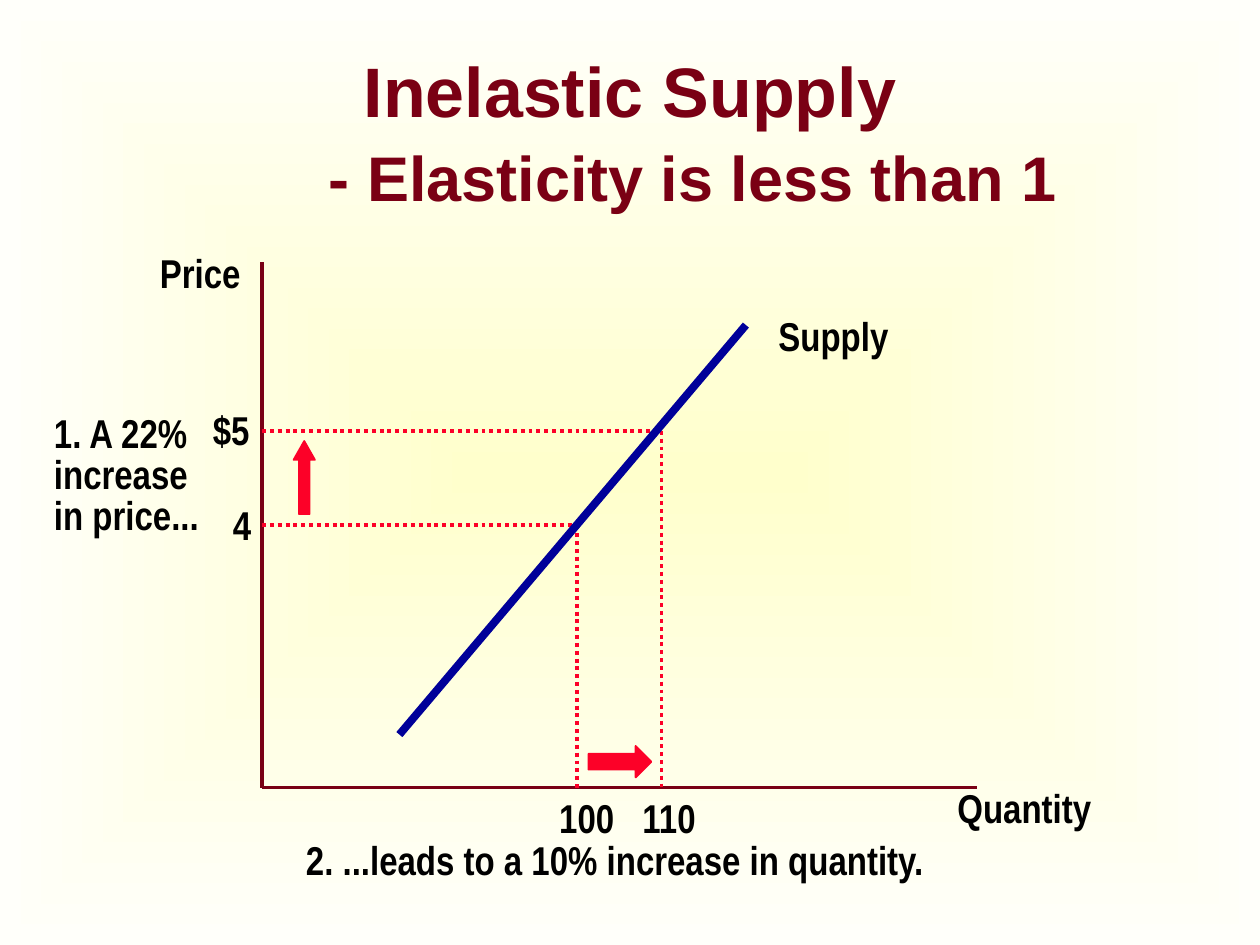
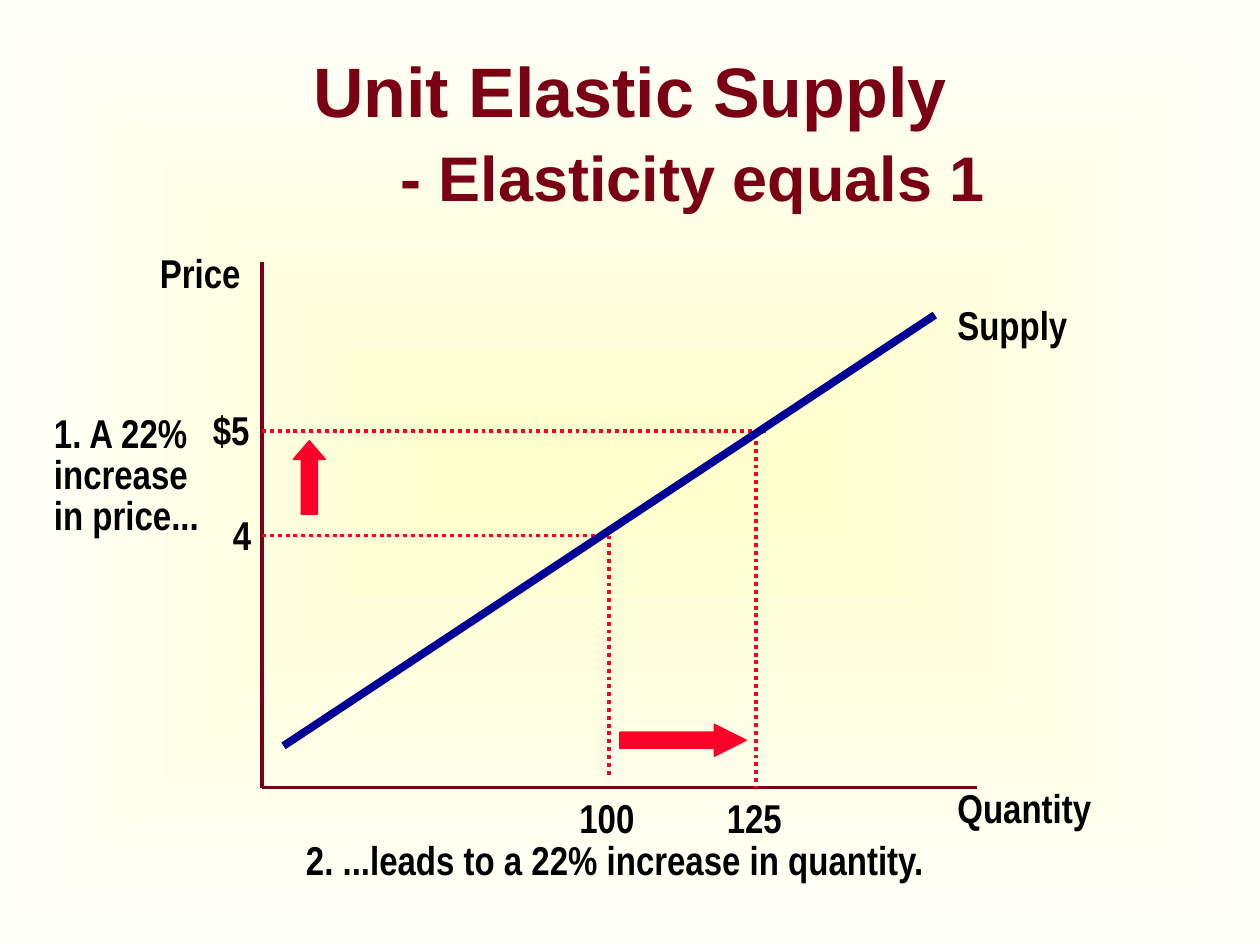
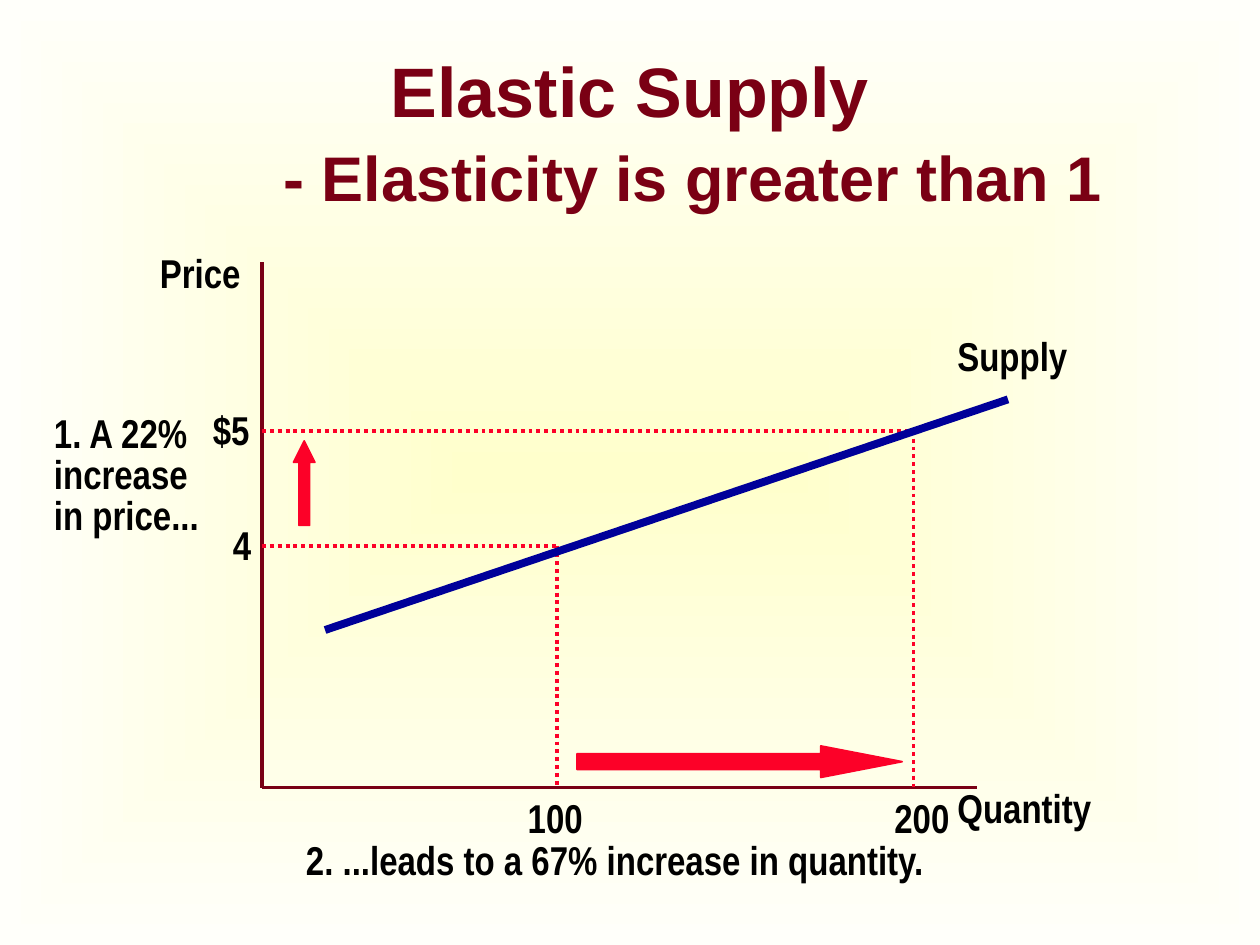
from dataclasses import dataclass

import pptx
import pptx.dml.color
import pptx.enum.dml
import pptx.enum.shapes
import pptx.enum.text
import pptx.oxml
import pptx.oxml.ns
import pptx.util
from pptx.util import Inches

COLORS = {
    "title": "7A0014",
    "axis": "790015",
    "guide": "FC0128",
    "supply": "000099",
    "label": "000000",
    "glow": "FFFFCC",
    "edge": "FFFFFA",
}
TITLE_FONT = "Arial"
LABEL_FONT = "Arial Narrow"
LABEL_HEIGHT = 0.49
AXIS_X, AXIS_Y = 2.08, 6.25
HIGH_PRICE_Y = 3.42

Point = tuple[float, float]


@dataclass
class Arrow:
    left: float
    top: float
    width: float
    height: float
    head: float


@dataclass
class Quantity:
    text: str
    label_left: float
    guide_x: float
    guide_top: float
    guide_bottom: float
    price_end: float


@dataclass
class SupplyCase:
    title: str
    subtitle: str
    growth: str
    low_price_y: float
    low: Quantity
    high: Quantity
    supply_start: Point
    supply_end: Point
    supply_label: Point
    price_arrow: Arrow
    quantity_arrow: Arrow


CASES = [
    SupplyCase(
        "Inelastic Supply", "- Elasticity is less than 1", "10%", 4.17,
        Quantity("100", 4.34, 4.58, 4.17, AXIS_Y, 4.58),
        Quantity("110", 5, 5.25, HIGH_PRICE_Y, AXIS_Y, 5.25),
        (3.17, 5.83), (5.92, 2.58), (6.08, 2.42),
        Arrow(2.33, 3.5, 0.17, 0.58, 0.88),
        Arrow(4.67, 5.92, 0.5, 0.25, 0.5),
    ),
    SupplyCase(
        "Unit Elastic Supply", "- Elasticity equals 1", "22%", 4.25,
        Quantity("100", 4.5, 4.83, 4.25, 6.17, 4.83),
        Quantity("125", 5.67, 6, 3.5, AXIS_Y, 6.08),
        (2.25, 5.92), (7.42, 2.5), (7.5, 2.33),
        Arrow(2.33, 3.5, 0.25, 0.58, 0.58),
        Arrow(4.92, 5.75, 1, 0.25, 1),
    ),
    SupplyCase(
        "Elastic Supply", "- Elasticity is greater than 1", "67%", 4.33,
        Quantity("100", 4.09, 4.42, 4.33, AXIS_Y, 4.42),
        Quantity("200", 7, 7.25, HIGH_PRICE_Y, AXIS_Y, 7.25),
        (2.58, 5), (8, 3.17), (7.5, 2.58),
        Arrow(2.33, 3.5, 0.17, 0.67, 1),
        Arrow(4.58, 5.92, 2.58, 0.25, 2.58),
    ),
]


def rgb(name: str) -> pptx.dml.color.RGBColor:
    return pptx.dml.color.RGBColor.from_string(COLORS[name])


def set_background(master) -> None:
    fill = master.background.fill
    fill.gradient()
    for stop, name in zip(fill.gradient_stops, ("glow", "edge")):
        stop.color.rgb = rgb(name)
    grad = master.element.find(".//" + pptx.oxml.ns.qn("p:bgPr")).find(
        pptx.oxml.ns.qn("a:gradFill"))
    lin = grad.find(pptx.oxml.ns.qn("a:lin"))
    if lin is not None:
        grad.remove(lin)
    grad.append(pptx.oxml.parse_xml(
        f'<a:path {pptx.oxml.ns.nsdecls("a")} path="rect">'
        '<a:fillToRect l="50000" t="50000" r="50000" b="50000"/></a:path>'))


def add_run(p, text: str, size: float, font: str, color: str) -> None:
    r = p.add_run()
    r.text = text
    r.font.size = pptx.util.Pt(size)
    r.font.name = font
    r.font.bold = True
    r.font.color.rgb = rgb(color)


def add_title(s, title: str, subtitle: str) -> None:
    tf = s.shapes.add_textbox(Inches(0), Inches(0.42), Inches(10), Inches(1.25)).text_frame
    tf.word_wrap = True
    tf.vertical_anchor = pptx.enum.text.MSO_ANCHOR.MIDDLE
    p = tf.paragraphs[0]
    p.alignment = pptx.enum.text.PP_ALIGN.CENTER
    tabs = pptx.oxml.parse_xml(f'<a:tabLst {pptx.oxml.ns.nsdecls("a")}/>')
    for stop in range(8):
        tabs.append(pptx.oxml.parse_xml(
            f'<a:tab {pptx.oxml.ns.nsdecls("a")} pos="{Inches(stop)}" algn="l"/>'))
    p._p.get_or_add_pPr().append(tabs)
    add_run(p, title, 40, TITLE_FONT, "title")
    p.add_line_break()
    add_run(p, "\t", 40, TITLE_FONT, "title")
    add_run(p, subtitle, 36, TITLE_FONT, "title")


def add_label(s, lines: list[str], left: float, top: float, width: float,
              height: float = LABEL_HEIGHT, spacing: float | None = None) -> None:
    tf = s.shapes.add_textbox(Inches(left), Inches(top), Inches(width), Inches(height)).text_frame
    tf.word_wrap = False
    tf.auto_size = pptx.enum.text.MSO_AUTO_SIZE.SHAPE_TO_FIT_TEXT
    for i, text in enumerate(lines):
        p = tf.add_paragraph() if i else tf.paragraphs[0]
        if spacing:
            p.line_spacing = spacing
        add_run(p, text, 23, LABEL_FONT, "label")


def add_line(s, start: Point, end: Point, color: str, width: float = 2.25,
             dotted: bool = False) -> None:
    line = s.shapes.add_connector(
        pptx.enum.shapes.MSO_CONNECTOR.STRAIGHT, *map(Inches, (*start, *end)))
    line.line.color.rgb = rgb(color)
    line.line.width = pptx.util.Pt(width)
    if dotted:
        line.line.dash_style = pptx.enum.dml.MSO_LINE.ROUND_DOT
    line._element.spPr.append(
        pptx.oxml.parse_xml(f'<a:effectLst {pptx.oxml.ns.nsdecls("a")}/>'))


def add_arrow(s, kind: pptx.enum.shapes.MSO_SHAPE, arrow: Arrow) -> None:
    sp = s.shapes.add_shape(kind, Inches(arrow.left), Inches(arrow.top),
                            Inches(arrow.width), Inches(arrow.height))
    sp.adjustments[0] = 0.5
    sp.adjustments[1] = arrow.head
    sp.shadow.inherit = False
    sp.fill.solid()
    sp.fill.fore_color.rgb = rgb("guide")
    sp.line.color.rgb = rgb("guide")
    sp.line.width = pptx.util.Pt(1)


def add_axes(s) -> None:
    add_line(s, (AXIS_X, 2.08), (AXIS_X, AXIS_Y), "axis")
    add_line(s, (AXIS_X, AXIS_Y), (7.75, AXIS_Y), "axis")
    add_label(s, ["Quantity"], 7.5, 6.17, 1.3)
    add_label(s, ["Price"], 1.17, 1.92, 0.85)


def add_guides(s, price_y: float, quantity: Quantity) -> None:
    add_line(s, (AXIS_X, price_y), (quantity.price_end, price_y), "guide", dotted=True)
    add_line(s, (quantity.guide_x, quantity.guide_top),
             (quantity.guide_x, quantity.guide_bottom), "guide", dotted=True)
    add_label(s, [quantity.text], quantity.label_left, AXIS_Y, 0.64)


def add_supply_slide(prs, case: SupplyCase) -> None:
    s = prs.slides.add_slide(prs.slide_layouts[6])
    add_title(s, case.title, case.subtitle)
    add_axes(s)
    add_label(s, ["4"], 1.75, case.low_price_y - 0.25, 0.34)
    add_label(s, ["$5"], 1.59, HIGH_PRICE_Y - 0.25, 0.49)
    add_guides(s, case.low_price_y, case.low)
    add_guides(s, HIGH_PRICE_Y, case.high)
    add_label(s, ["1. A 22%", "increase", "in price..."], 0.33, 3.25, 1.36, 1.08, 0.85)
    add_arrow(s, pptx.enum.shapes.MSO_SHAPE.UP_ARROW, case.price_arrow)
    add_label(s, ["Supply"], *case.supply_label, 1.1)
    add_line(s, case.supply_start, case.supply_end, "supply", 4.5)
    add_label(s, [f"2. ...leads to a {case.growth} increase in quantity."], 2.33, 6.58, 5.14)
    add_arrow(s, pptx.enum.shapes.MSO_SHAPE.RIGHT_ARROW, case.quantity_arrow)


def main() -> None:
    prs = pptx.Presentation()
    prs.slide_width, prs.slide_height = Inches(10), Inches(7.5)
    set_background(prs.slide_master)
    for case in CASES:
        add_supply_slide(prs, case)
    prs.save("out.pptx")


if __name__ == "__main__":
    main()
